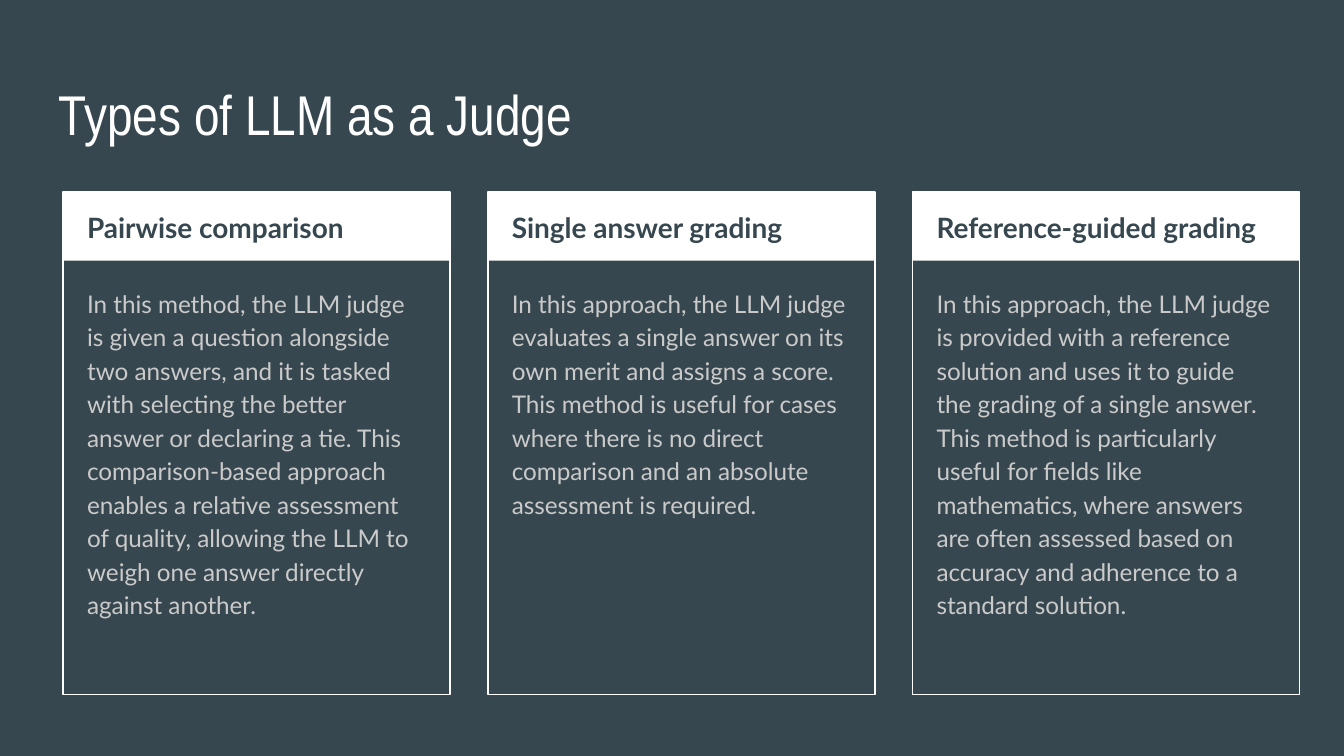
"""Build a slide with three cards on the types of LLM as a judge."""
from pptx import Presentation
from pptx.dml.color import RGBColor
from pptx.enum.shapes import MSO_SHAPE
from pptx.enum.text import MSO_ANCHOR
from pptx.util import Inches, Pt

TITLE = "Types of LLM as a Judge"
CARDS = [
    ("Pairwise comparison",
     "In this method, the LLM judge is given a question alongside two answers, "
     "and it is tasked with selecting the better answer or declaring a tie. "
     "This comparison-based approach enables a relative assessment of quality, "
     "allowing the LLM to weigh one answer directly against another."),
    ("Single answer grading",
     "In this approach, the LLM judge evaluates a single answer on its own merit "
     "and assigns a score. This method is useful for cases where there is no "
     "direct comparison and an absolute assessment is required."),
    ("Reference-guided grading",
     "In this approach, the LLM judge is provided with a reference solution and "
     "uses it to guide the grading of a single answer. This method is "
     "particularly useful for fields like mathematics, where answers are often "
     "assessed based on accuracy and adherence to a standard solution."),
]
COLORS = {"slate": "37474F", "white": "FFFFFF", "grey": "CACACA"}
LEFT, TOP, PITCH = 0.47, 1.43, 3.16
CARD_W, CARD_H, HEAD_H = 2.88, 3.74, 0.51


def rgb(name):
    return RGBColor.from_string(COLORS[name])


def add_text(s, text, x, y, w, h, size, color, font="Lato", bold=False, spacing=1.15):
    tf = s.shapes.add_textbox(Inches(x), Inches(y), Inches(w), Inches(h)).text_frame
    tf.word_wrap = True
    tf.vertical_anchor = MSO_ANCHOR.TOP
    tf.margin_left = tf.margin_right = tf.margin_top = tf.margin_bottom = Inches(0.1)
    p = tf.paragraphs[0]
    p.line_spacing = spacing
    r = p.add_run()
    r.text = text
    r.font.name, r.font.size, r.font.bold = font, Pt(size), bold
    r.font.color.rgb = rgb(color)


def add_rect(s, x, h, filled):
    sp = s.shapes.add_shape(MSO_SHAPE.RECTANGLE, Inches(x), Inches(TOP),
                            Inches(CARD_W), Inches(h))
    sp.shadow.inherit = False
    if filled:
        sp.fill.solid()
        sp.fill.fore_color.rgb = rgb("white")
        sp.line.fill.background()
    else:
        sp.fill.background()
        sp.line.color.rgb = rgb("white")
        sp.line.width = Pt(0.75)


prs = Presentation()
prs.slide_width = Inches(10)
prs.slide_height = prs.slide_width * 9 // 16
s = prs.slides.add_slide(prs.slide_layouts[6])
s.background.fill.solid()
s.background.fill.fore_color.rgb = rgb("slate")

add_text(s, TITLE, 0.34, 0.49, 9.32, 0.63, 30, "white", font="Arial Narrow", spacing=1.0)
for i, (heading, body) in enumerate(CARDS):
    x = LEFT + i * PITCH
    add_rect(s, x, HEAD_H, filled=True)
    add_rect(s, x, CARD_H, filled=False)
    add_text(s, heading, x + 0.08, TOP, 2.73, 0.5, 15, "slate", bold=True)
    add_text(s, body, x + 0.08, 2.02, 2.71, 3.06, 13, "grey")

prs.save("out.pptx")
